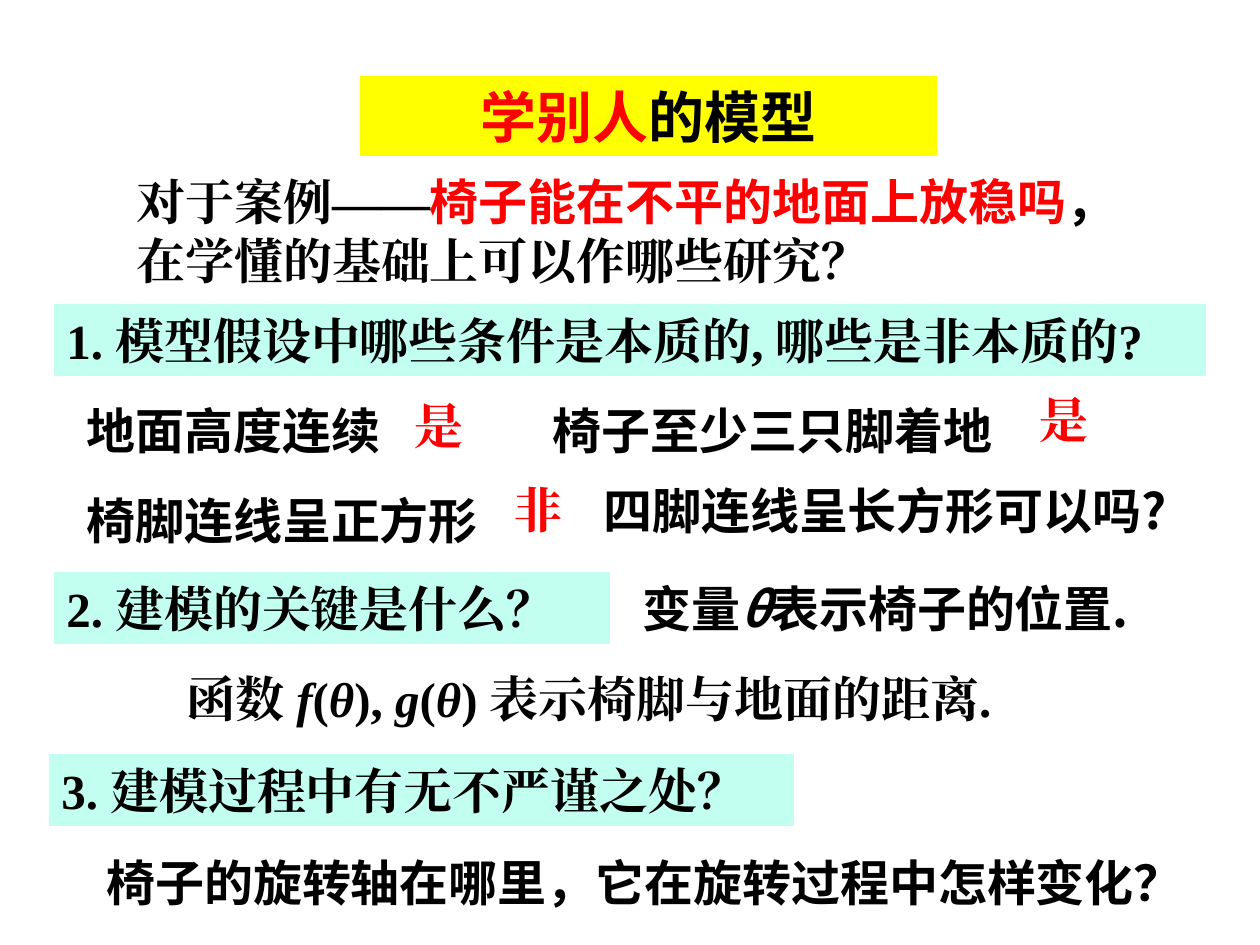
from lxml import etree
from pptx import Presentation, util as u
from pptx.dml.color import RGBColor
from pptx.enum import shapes, text
from pptx.oxml import ns

SCALE = 914400 / 126
COLORS = {"black": "000000", "red": "FF0000", "yellow": "FFFF00", "mint": "C2FFF0"}
SERIF, SANS = "Times New Roman", "Noto Sans CJK SC"
LINE = 72
TALL = 83


def px(n):
    return u.Emu(round(n * SCALE))


def add_run(p, words, font=SERIF, color="black", italic=False, size=28):
    r = p.add_run()
    r.text = words
    r.font.size = u.Pt(size)
    r.font.bold = True
    r.font.italic = italic
    r.font.name = font
    r.font.color.rgb = RGBColor.from_string(COLORS[color])
    ea = etree.SubElement(r._r.get_or_add_rPr(), ns.qn("a:ea"))
    ea.set("typeface", font)


def add_text(s, box, runs, fill=None, center=False, spacing=None):
    area = [px(n) for n in box]
    if fill:
        sp = s.shapes.add_shape(shapes.MSO_SHAPE.RECTANGLE, *area)
        sp.shadow.inherit = False
        sp.fill.solid()
        sp.fill.fore_color.rgb = RGBColor.from_string(COLORS[fill])
        sp.line.fill.background()
    else:
        sp = s.shapes.add_textbox(*area)
    tf = sp.text_frame
    tf.word_wrap = True
    tf.vertical_anchor = text.MSO_ANCHOR.TOP
    p = tf.paragraphs[0]
    p.alignment = text.PP_ALIGN.CENTER if center else text.PP_ALIGN.LEFT
    if spacing:
        p.line_spacing = spacing
    for words, style in runs:
        add_run(p, words, **style)


def title(s, box):
    add_text(s, box, [
        ("学别人", dict(font=SANS, color="red", size=32)),
        ("的模型", dict(font=SANS, size=32)),
    ], fill="yellow", center=True)


def intro(s, box):
    add_text(s, box, [
        ("对于案例——", {}),
        ("椅子能在不平的地面上放稳吗", dict(font=SANS, color="red")),
        ("，", dict(font=SANS)),
        ("在学懂的基础上可以作哪些研究？", {}),
    ])


def question(s, box, words):
    add_text(s, box, [(words, {})], fill="mint")


def conditions(s, box):
    x, y, w, h = box
    statements = [
        (0, 0, 348, TALL, "地面高度连续", 1.2),
        (466, 0, 507, TALL, "椅子至少三只脚着地", 1.2),
        (0, 90, 437, TALL, "椅脚连线呈正方形", 1.2),
        (517, 91, w - 517, LINE, "四脚连线呈长方形可以吗?", None),
    ]
    for dx, dy, width, height, words, spacing in statements:
        add_text(s, (x + dx, y + dy, width, height), [(words, dict(font=SANS))], spacing=spacing)
    for dx, dy, verdict in [(328, 6, "是"), (953, 0, "是"), (427, 90, "非")]:
        add_text(s, (x + dx, y + dy, 69, LINE), [(verdict, dict(color="red"))], center=True)


def key_points(s, box):
    x, y, w, h = box
    add_text(s, (x + 456, y, w - 456, LINE), [
        ("变量", dict(font=SANS)),
        ("θ", dict(font=SANS, italic=True)),
        ("表示椅子的位置.", dict(font=SANS)),
    ])
    formula = ["函数 ", "f", "(", "θ", "), ", "g", "(", "θ", ") 表示椅脚与地面的距离."]
    add_text(s, (x, y + h - LINE, 922, LINE),
             [(part, dict(italic=i % 2 == 1)) for i, part in enumerate(formula)])


def closing(s, box):
    add_text(s, box, [("椅子的旋转轴在哪里，它在旋转过程中怎样变化？", dict(font=SANS))], spacing=1.2)


prs = Presentation()
prs.slide_width, prs.slide_height = px(1260), px(945)
s = prs.slides.add_slide(prs.slide_layouts[6])
title(s, (360, 76, 577, 80))
intro(s, (124, 165, 1012, 131))
question(s, (54, 304, 1152, LINE), "1. 模型假设中哪些条件是本质的, 哪些是非本质的?")
conditions(s, (74, 383, 1132, 173))
question(s, (54, 572, 556, LINE), "2. 建模的关键是什么？")
key_points(s, (174, 572, 1022, 162))
question(s, (49, 754, 745, LINE), "3. 建模过程中有无不严谨之处？")
closing(s, (94, 835, 1137, TALL))
prs.save("out.pptx")
